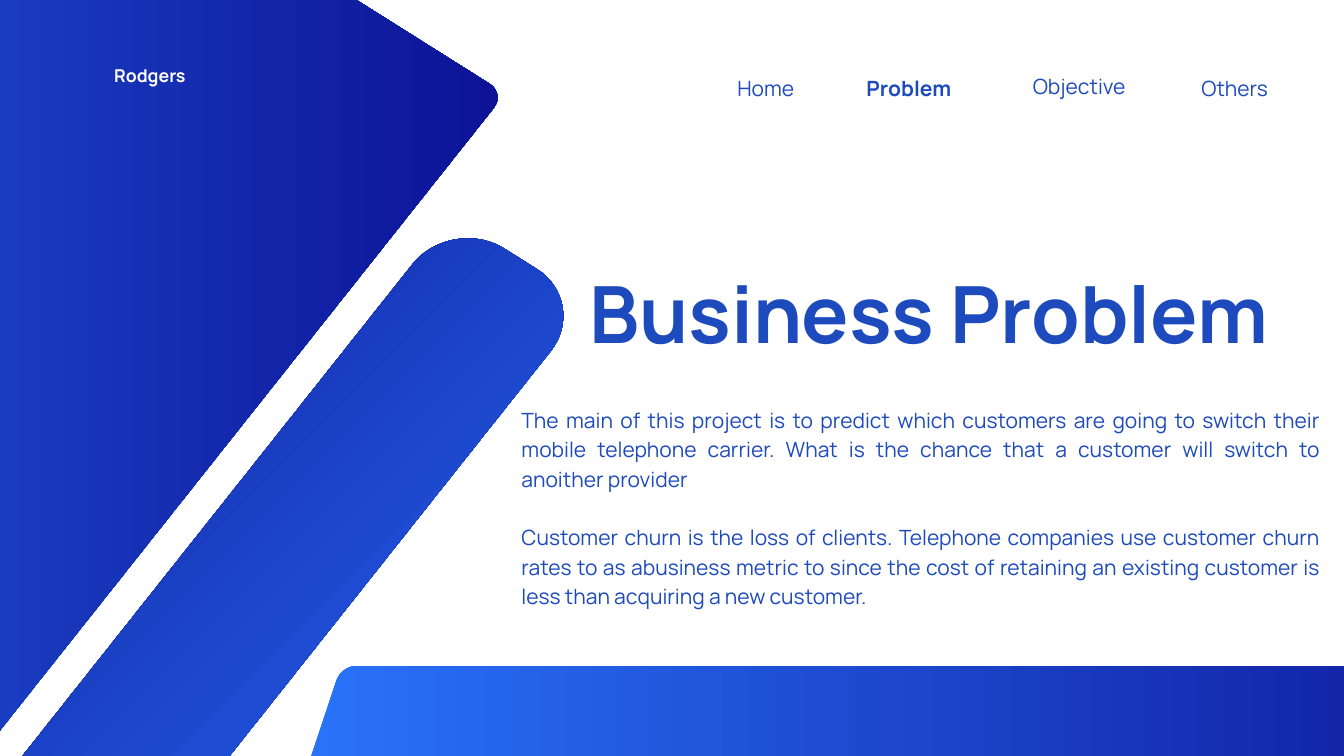
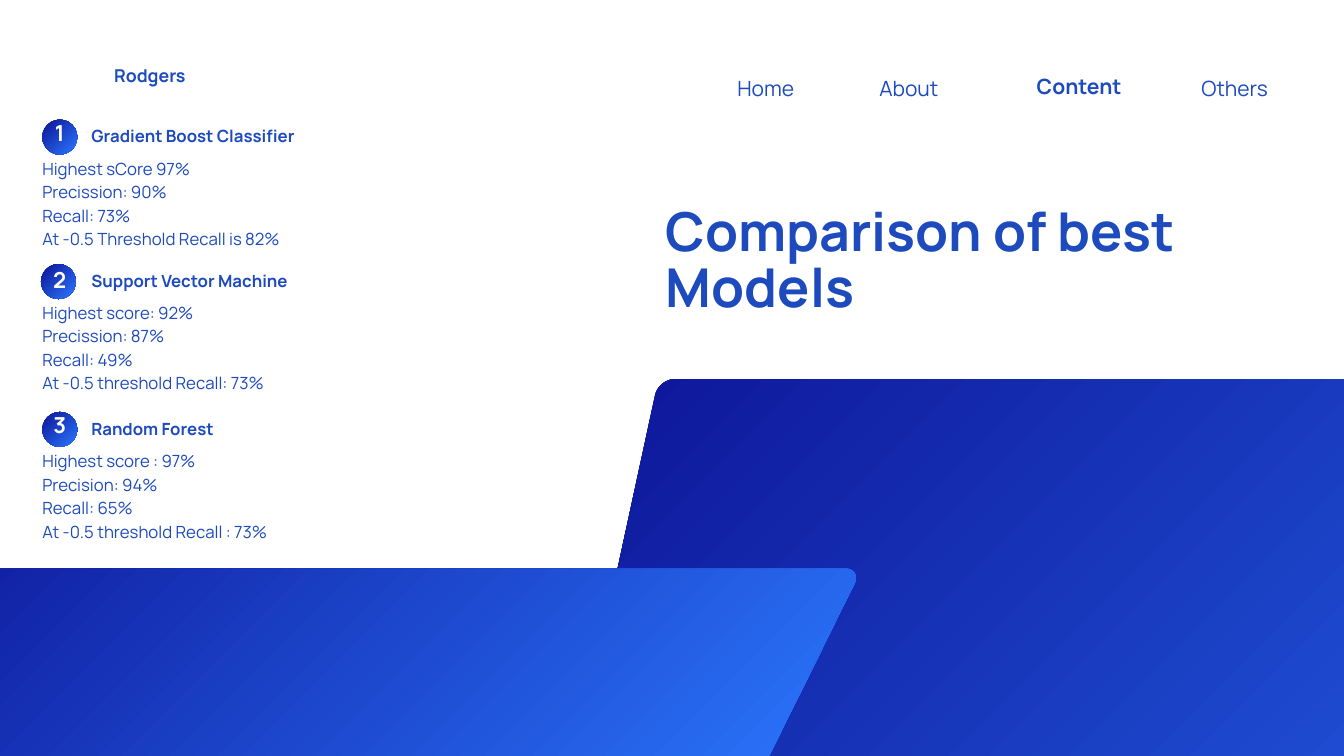
from pptx import Presentation
from pptx.dml.color import RGBColor
from pptx.enum.shapes import MSO_SHAPE as Kind
from pptx.enum.text import MSO_ANCHOR as Anchor, MSO_AUTO_SIZE as Fit, PP_ALIGN as Align
from pptx.util import Inches, Pt
from lxml.etree import SubElement as add_sub
from pptx.oxml.ns import qn

COLS, ROWS = 20, 11.25
CELL = Inches(1)
FONT = "Manrope"
BLUE, WHITE = "1D4ABD", "FFFFFF"
DARK, LIGHT = "0D1296", "2B79FF"
TILT = 212.2
BEND = 0.55
NAV = [(10, 1.06, 1.82, Align.RIGHT), (12.48, 1.06, 2.09, Align.CENTER),
       (15.01, 1.03, 2.1, Align.CENTER), (16.44, 1.06, 2.43, Align.RIGHT)]
MODELS = [
    ("Gradient Boost Classifier", 0.63, 1.78, 1.71, 1.82, 2.31,
     ["Highest sCore 97%", "Precission: 90%", "Recall: 73%",
      "At -0.5 Threshold Recall is 82%"]),
    ("Support Vector Machine", 0.61, 3.93, 3.9, 3.98, 4.45,
     ["Highest score: 92%", "Precission: 87%", "Recall: 49%",
      "At -0.5 threshold Recall: 73%"]),
    ("Random Forest", 0.63, 6.13, 6.06, 6.18, 6.66,
     ["Highest score : 97%", "Precision: 94%", "Recall: 65%",
      "At -0.5 threshold Recall : 73%"]),
]
CHURN = [
    "The main of this project is to predict which customers are going to switch their "
    "mobile telephone carrier. What is the chance that a customer will switch to "
    "anoither provider",
    "Customer churn is the loss of clients. Telephone companies use customer churn "
    "rates to as abusiness metric to since the cost of retaining an existing customer is "
    "less than acquiring a new customer.",
]


def paint(hue):
    return RGBColor.from_string(hue)


def grid(*cells):
    return [round(cell * CELL) for cell in cells]


def blend(shape, first, last, angle):
    shape.shadow.inherit = False
    shape.line.fill.background()
    shape.fill.gradient()
    shape.fill.gradient_angle = angle
    for stop, hue in zip(shape.fill.gradient_stops, (first, last)):
        stop.color.rgb = paint(hue)


def toward(start, end, cut):
    dx, dy = end[0] - start[0], end[1] - start[1]
    share = cut / (dx * dx + dy * dy) ** 0.5
    return start[0] + dx * share, start[1] + dy * share


def bend(before, corner, after, cut):
    a, d = toward(corner, before, cut), toward(corner, after, cut)
    return [a, toward(a, corner, cut * BEND), toward(d, corner, cut * BEND), d]


def smooth(shape):
    lines = list(shape.element.iter(qn("a:lnTo")))
    for i in range(0, len(lines), 4):
        first, *rest = lines[i:i + 3]
        first.tag = qn("a:cubicBezTo")
        for line in rest:
            first.append(line[0])
            line.getparent().remove(line)


def slant(slide, box, lean, cut, hues, angle=0, turn=0):
    x, y, w, h = box
    ends = [(x + lean, y), (x + w, y), (x + w - lean, y + h), (x, y + h)]
    dots = [grid(*dot) for i in range(4)
            for dot in bend(ends[i - 1], ends[i], ends[(i + 1) % 4], cut)]
    pen = slide.shapes.build_freeform(*dots[0])
    pen.add_line_segments(dots[1:])
    shape = pen.convert_to_shape()
    smooth(shape)
    blend(shape, *hues, angle)
    if turn:
        slide.shapes.add_group_shape([shape]).rotation = turn


def write(shape, box, lines, size, lead, align=Align.LEFT, hue=BLUE, bold=False, gap=0):
    shape.left, shape.top, shape.width, shape.height = grid(*box)
    frame = shape.text_frame
    frame.word_wrap, frame.auto_size = True, Fit.NONE
    frame.vertical_anchor = Anchor.TOP
    frame.margin_left = frame.margin_top = frame.margin_right = frame.margin_bottom = 0
    for i, line in enumerate(lines):
        para = frame.add_paragraph() if i else frame.paragraphs[0]
        para.text = line
        para.alignment, para.line_spacing = align, Pt(lead)
        para.space_before, para.space_after = Pt(gap if i else 0), Pt(0)
        font = para.font
        font.name, font.size, font.bold = FONT, Pt(size), bold
        font.color.rgb = paint(hue)
        if shape.is_placeholder:
            props = para._p.get_or_add_pPr()
            props.set("marL", "0")
            props.set("indent", "0")
            mark = add_sub(props, qn("a:buNone"))
            props.find(qn("a:defRPr")).addprevious(mark)


def label(slide, box, text, *style, **more):
    write(slide.shapes.add_textbox(*grid(*box)), box, [text], *style, **more)


def header(slide, names, active, hue):
    label(slide, (1.7, 0.91, 3.19, 0.37), "Rodgers", 19, 26.6, hue=hue, bold=True)
    for name, (x, y, w, align) in zip(names, NAV):
        label(slide, (x, y, w, 0.45), name, 22.5, 31.5, align, bold=name == active)


def model(slide, body, num, name, x, top, mark, head, rows, lines):
    disc = slide.shapes.add_shape(Kind.OVAL, *grid(x, top, 0.52, 0.52))
    blend(disc, DARK, LIGHT, 315)
    label(slide, (0.74, mark, 0.3, 0.48), str(num), 23.6, 33, Align.CENTER, WHITE, True)
    label(slide, (1.36, head, 4.92, 0.36), name, 18, 25.2, Align.JUSTIFY, bold=True)
    write(body, (0.63, rows, 5.37, 1.4), lines, 18, 25.2, Align.JUSTIFY)


def problem(deck):
    slide = deck.slides.add_slide(deck.slide_layouts[1])
    slant(slide, (-8.29, -3.17, 13.31, 13.21), 1.44, 0.27, (LIGHT, DARK), turn=TILT)
    slant(slide, (1.68, 2.45, 3.87, 13.21), 1.44, 0.93, (DARK, LIGHT), 315, TILT)
    slant(slide, (3.3, 9.91, 20.79, 5.33), 1.78, 0.22, (LIGHT, DARK))
    header(slide, ["Home", "Problem", "Objective", "Others"], "Problem", WHITE)
    write(slide.shapes.title, (8.77, 4.06, 11.04, 1.4), ["Business Problem"],
          84.5, 92.9, bold=True)
    write(slide.placeholders[1], (7.76, 6, 11.89, 3.95), CHURN,
          22.5, 31.5, Align.JUSTIFY, gap=31.5)


def compare(deck):
    slide = deck.slides.add_slide(deck.slide_layouts[4])
    slant(slide, (7.75, 5.64, 22.25, 9.48), 2.05, 0.24, (DARK, LIGHT), 315)
    slant(slide, (-3.05, 8.46, 15.88, 3.35), 1.66, 0.26, (DARK, LIGHT), 315)
    header(slide, ["Home", "About", "Content", "Others"], "Content", BLUE)
    write(slide.shapes.title, (9.91, 3.06, 9.18, 1.75), ["Comparison of best Models"],
          57.4, 60.2, bold=True)
    *bodies, spare = list(slide.placeholders)[1:]
    spare.element.getparent().remove(spare.element)
    for num, (body, facts) in enumerate(zip(bodies, MODELS), 1):
        model(slide, body, num, *facts)


def main():
    deck = Presentation()
    deck.slide_width, deck.slide_height = grid(COLS, ROWS)
    problem(deck)
    compare(deck)
    deck.save("out.pptx")


if __name__ == "__main__":
    main()
